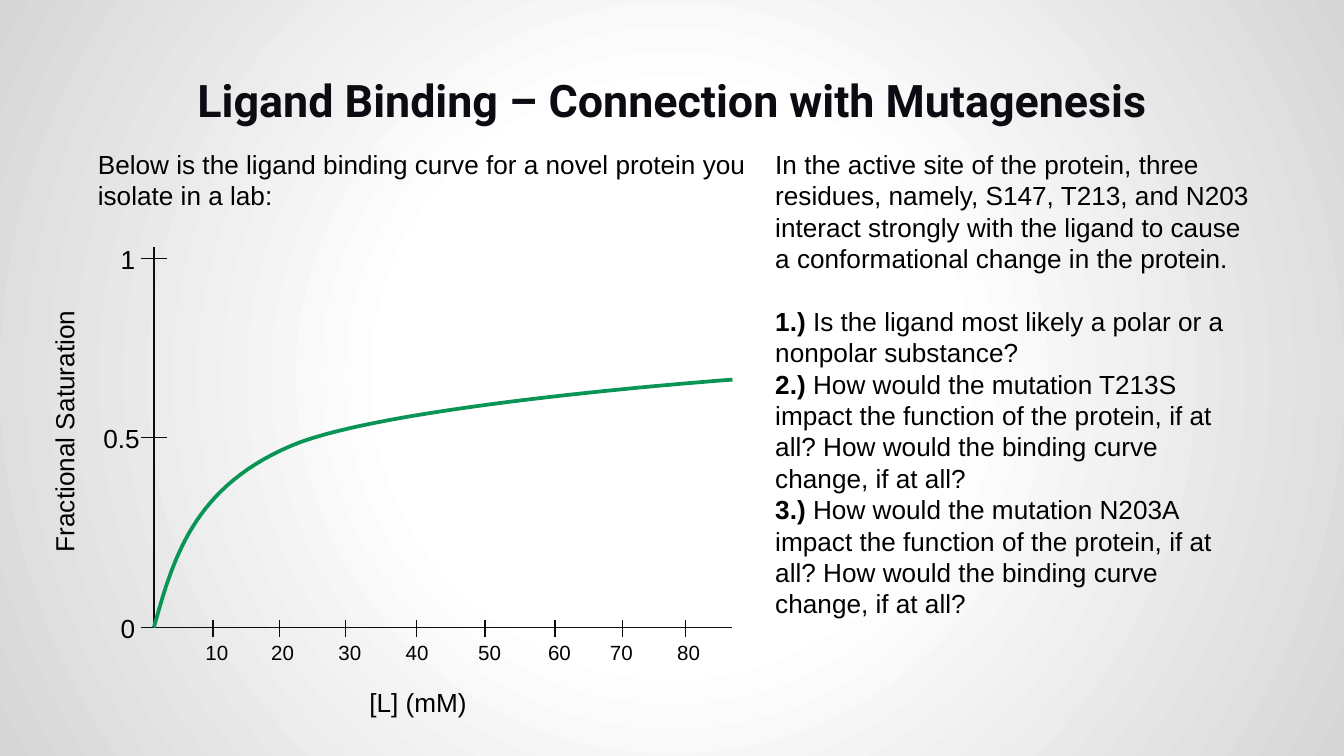
"""Build a slide with a ligand binding curve and questions on mutagenesis."""
import pptx
import pptx.util
import pptx.dml.color
import pptx.enum.shapes
import pptx.enum.text
import pptx.oxml
import pptx.oxml.ns

PX = 4572
COLORS = {"ink": "0B0B11", "text": "000000", "curve": "0A9556", "center": "FFFFFF", "edge": "D6D6D6"}
ALIGN = pptx.enum.text.PP_ALIGN
qn = pptx.oxml.ns.qn

prs = pptx.Presentation()
prs.slide_width = 2000 * PX
prs.slide_height = 1125 * PX
s = prs.slides.add_slide(prs.slide_layouts[6])

s.background.fill.gradient()
grad = s.element.find(".//" + qn("a:gradFill"))
stops = "".join(
    f'<a:gs pos="{pos}000"><a:srgbClr val="{COLORS[name]}"/></a:gs>'
    for pos, name in ((0, "center"), (36, "center"), (100, "edge"))
)
grad.getparent().replace(grad, pptx.oxml.parse_xml(
    f'<a:gradFill {pptx.oxml.ns.nsdecls("a")} rotWithShape="1"><a:gsLst>{stops}</a:gsLst>'
    '<a:path path="circle"><a:fillToRect l="50000" t="50000" r="50000" b="50000"/></a:path></a:gradFill>'
))


def add_text(box, paragraphs, size=14, font="Arial", color="text", wrap=False, align=ALIGN.LEFT):
    sp = s.shapes.add_textbox(*(v * PX for v in box))
    tf = sp.text_frame
    tf.word_wrap = wrap
    for i, runs in enumerate(paragraphs):
        p = tf.add_paragraph() if i else tf.paragraphs[0]
        p.alignment = align
        for text, bold in runs:
            r = p.add_run()
            r.text = text
            r.font.size = pptx.util.Pt(size)
            r.font.name = font
            r.font.bold = bold
            r.font.color.rgb = pptx.dml.color.RGBColor.from_string(COLORS[color])
    return sp


def add_line(x1, y1, x2, y2):
    sp = s.shapes.add_connector(
        pptx.enum.shapes.MSO_CONNECTOR.STRAIGHT, x1 * PX, y1 * PX, x2 * PX, y2 * PX)
    sp.line.width = pptx.util.Pt(0.75)
    sp.line.color.rgb = pptx.dml.color.RGBColor.from_string(COLORS["ink"])
    sp.element.spPr.append(pptx.oxml.parse_xml(f'<a:effectLst {pptx.oxml.ns.nsdecls("a")}/>'))


title = add_text((126, 85, 1748, 126), [[("Ligand Binding – Connection with Mutagenesis", True)]],
                 24, "Roboto", "ink", True, ALIGN.CENTER)
title.text_frame.vertical_anchor = pptx.enum.text.MSO_ANCHOR.MIDDLE

intro = add_text((126, 211, 1008, 114), [
    [("Below is the ligand binding curve for a novel protein you isolate in a lab:", False)],
], wrap=True)
questions = add_text((1134, 211, 748, 728), [
    [("In the active site of the protein, three residues, namely, S147, T213, and N203 interact "
      "strongly with the ligand to cause a conformational change in the protein.", False)],
    [("1.)", True), (" Is the ligand most likely a polar or a nonpolar substance?", False)],
    *([(f"{number}.)", True),
       (f" How would the mutation {mutation} impact the function of the protein, if at all? "
        "How would the binding curve change, if at all?", False)]
      for number, mutation in ((2, "T213S"), (3, "N203A"))),
], wrap=True)
for sp in (intro, questions):
    for p in sp.text_frame.paragraphs:
        p.line_spacing = pptx.util.Pt(16.8)
questions.text_frame.paragraphs[0].space_after = pptx.util.Pt(16.8)

add_line(229, 368, 229, 934)
add_line(229, 934, 1090, 934)
for label, left, y in (("1", 160, 385), ("0.5", 134, 651), ("0", 160, 934)):
    add_line(210, y, 248, y)
    add_text((left, y - 33, 98, 68), [[(label, False)]])

x_ticks = (317, 416, 514, 620, 722, 826, 926, 1020)
x_label_lefts = (286, 384, 484, 584, 692, 796, 888, 988)
for i, (x, left) in enumerate(zip(x_ticks, x_label_lefts), 1):
    add_line(x, 948, x, 922)
    add_text((left, 942, 74, 58), [[(str(10 * i), False)]], 11)

add_text((530, 1012, 186, 68), [[("[L] (mM)", False)]])
y_title = add_text((-104, 608, 400, 68), [[("Fractional Saturation", False)]], align=ALIGN.CENTER)
y_title.rotation = 270

STEPS = 30
beziers = (
    ((229, 934), (258, 830), (288, 726), (432, 664)),
    ((432, 664), (574, 602), (1090, 565), (1090, 565)),
)
points = []
for a, b, c, d in beziers:
    for i in range(STEPS + 1):
        t = i / STEPS
        u = 1 - t
        points.append(tuple(
            PX * (u**3 * a[k] + 3 * u * u * t * b[k] + 3 * u * t * t * c[k] + t**3 * d[k])
            for k in (0, 1)))
fb = s.shapes.build_freeform(*points[0], scale=1.0)
fb.add_line_segments(points[1:], close=False)
curve = fb.convert_to_shape()
curve.shadow.inherit = False
curve.fill.background()
curve.line.width = pptx.util.Pt(2)
curve.line.color.rgb = pptx.dml.color.RGBColor.from_string(COLORS["curve"])

prs.save("out.pptx")
